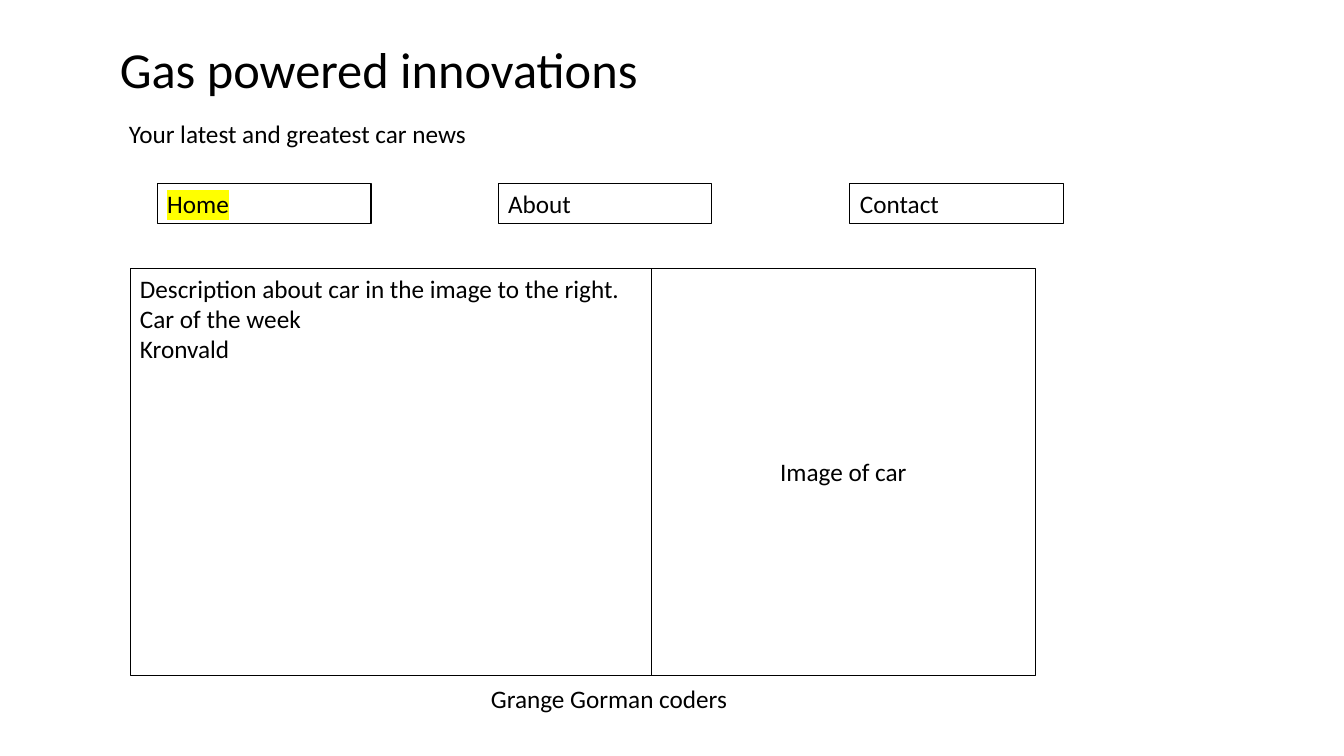
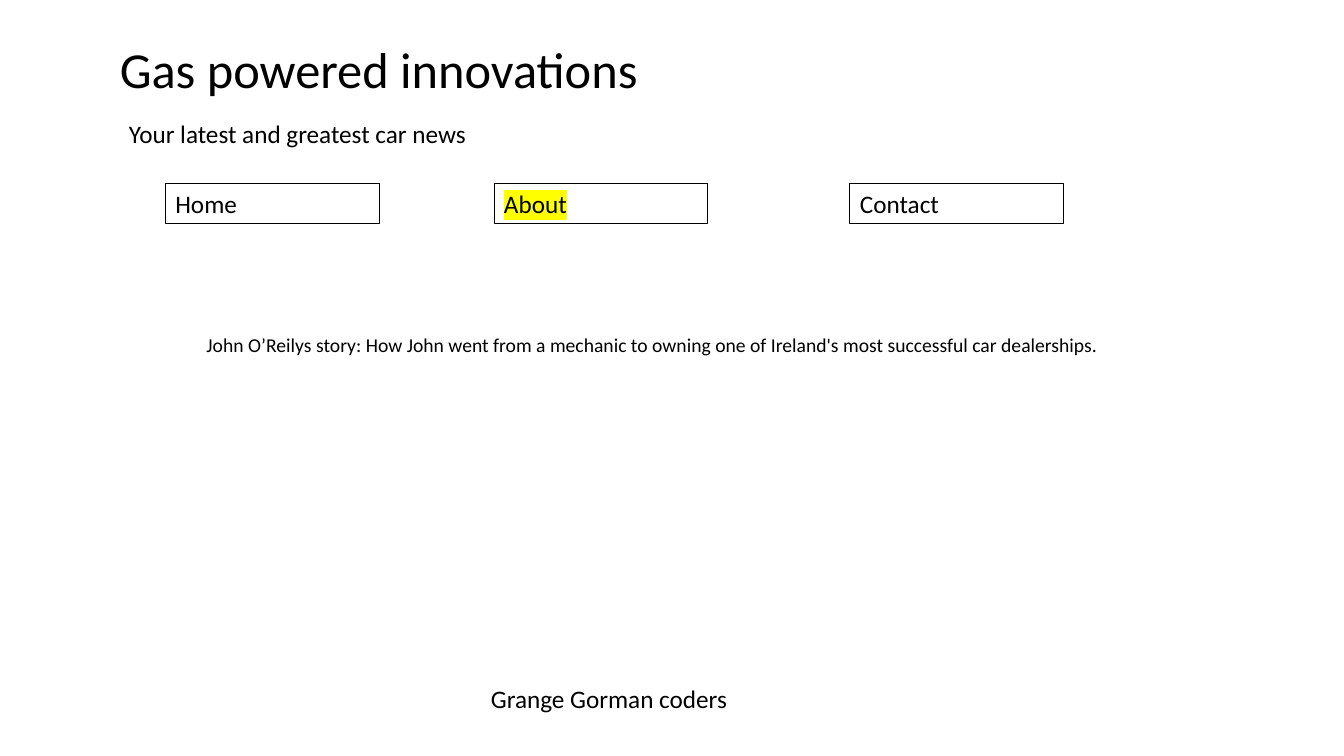
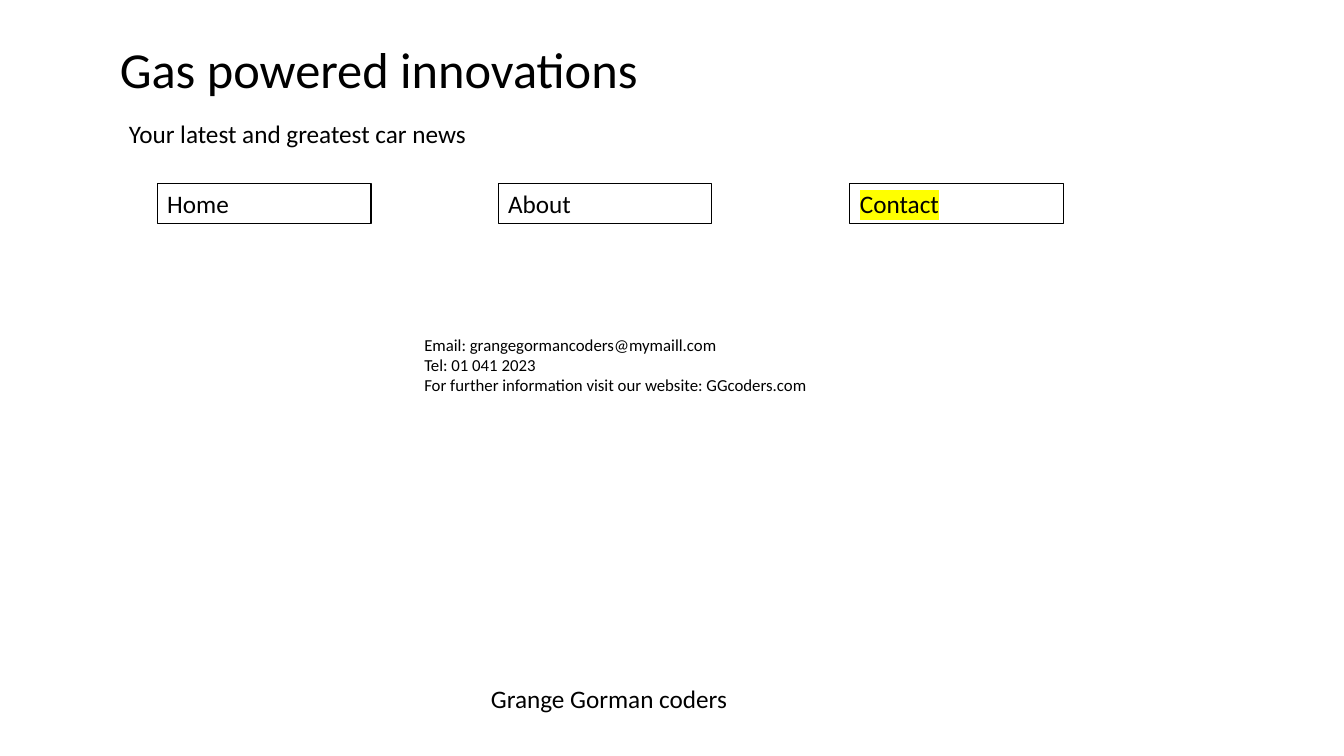
from lxml.etree import SubElement
from pptx import Presentation
from pptx.dml.color import RGBColor
from pptx.enum.shapes import MSO_SHAPE
from pptx.enum.text import MSO_ANCHOR, PP_ALIGN
from pptx.oxml.ns import qn
from pptx.util import Inches, Pt

COLORS = {"ink": "000000", "highlight": "FFFF00"}
FONT = "Calibri"
TABS = ("Home", "About", "Contact")
TAB_LEFTS = (1.56, 4.94, 8.43)
ABOUT_TAB_LEFTS = (1.64, 4.9, 8.43)


def put_text(sp, text, size=18, align=PP_ALIGN.LEFT, anchor=MSO_ANCHOR.TOP, highlight=False):
    """Write text into a shape, one paragraph per line."""
    tf = sp.text_frame
    tf.word_wrap = True
    tf.vertical_anchor = anchor
    for i, line in enumerate(text.split("\n")):
        p = tf.add_paragraph() if i else tf.paragraphs[0]
        p.alignment = align
        r = p.add_run()
        r.text = line
        r.font.size = Pt(size)
        r.font.color.rgb = RGBColor.from_string(COLORS["ink"])
        if highlight:
            mark = SubElement(r._r.get_or_add_rPr(), qn("a:highlight"))
            SubElement(mark, qn("a:srgbClr"), val=COLORS["highlight"])
        r.font.name = FONT


def add_label(s, text, left, top, width, height, **fmt):
    """Add a plain text box."""
    sp = s.shapes.add_textbox(Inches(left), Inches(top), Inches(width), Inches(height))
    put_text(sp, text, **fmt)


def add_box(s, text, left, top, width, height, **fmt):
    """Add an outlined rectangle with text."""
    sp = s.shapes.add_shape(MSO_SHAPE.RECTANGLE, Inches(left), Inches(top),
                            Inches(width), Inches(height))
    sp.shadow.inherit = False
    sp.fill.background()
    sp.line.color.rgb = RGBColor.from_string(COLORS["ink"])
    sp.line.width = Pt(0.75)
    put_text(sp, text, **fmt)


def add_page(prs, active, tab_lefts=TAB_LEFTS):
    """Add a slide with the shared header, tabs and footer."""
    s = prs.slides.add_slide(prs.slide_layouts[6])
    add_label(s, "Gas powered innovations", 1.09, 0.33, 6.46, 0.71, size=36)
    add_label(s, "Your latest and greatest car news", 1.18, 1.12, 3.65, 0.4)
    for tab, left in zip(TABS, tab_lefts):
        add_box(s, tab, left, 1.82, 2.12, 0.4, highlight=tab == active)
    add_label(s, "Grange Gorman coders", 4.77, 6.73, 3.25, 0.4)
    return s


def main():
    """Build and save the three pages."""
    prs = Presentation()
    prs.slide_width, prs.slide_height = Inches(13.33), Inches(7.5)

    s = add_page(prs, "Home")
    add_box(s, "Description about car in the image to the right.\nCar of the week\nKronvald",
            1.29, 2.66, 5.17, 4.04)
    add_box(s, "Image of car", 6.46, 2.66, 3.81, 4.04,
            align=PP_ALIGN.CENTER, anchor=MSO_ANCHOR.MIDDLE)

    s = add_page(prs, "About", ABOUT_TAB_LEFTS)
    add_label(s, "John O’Reilys story: How John went from a mechanic to owning one of "
              "Ireland's most successful car dealerships.", 1.95, 3.25, 10.66, 0.34, size=14)

    s = add_page(prs, "Contact")
    add_label(s, "Email: grangegormancoders@mymaill.com\nTel: 01 041 2023\n"
              "For further information visit our website: GGcoders.com",
              4.11, 3.27, 5.3, 0.71, size=12)

    prs.save("out.pptx")


if __name__ == "__main__":
    main()
